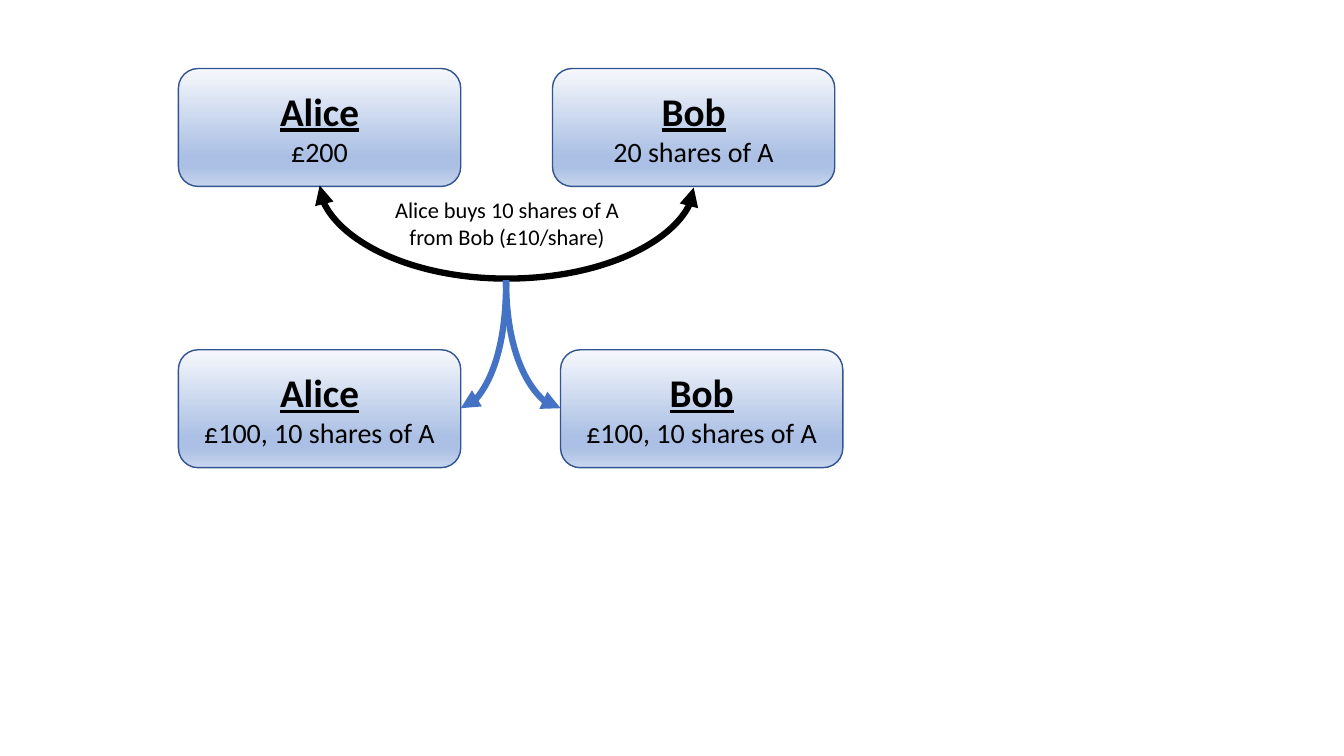
from copy import deepcopy

from lxml.etree import SubElement
from pptx import Presentation
from pptx.dml.color import RGBColor
from pptx.enum.shapes import MSO_CONNECTOR, MSO_SHAPE
from pptx.enum.text import MSO_ANCHOR, MSO_AUTO_SIZE, PP_ALIGN
from pptx.oxml.ns import qn
from pptx.util import Pt

# Content: name, holdings, left, top
HOLDERS = [
    ("Alice", "£200", 177, 68),
    ("Bob", "20 shares of A", 548, 68),
    ("Alice", "£100, 10 shares of A", 177, 347),
    ("Bob", "£100, 10 shares of A", 556, 347),
]
TRADE = "Alice buys 10 shares of A from Bob (£10/share)"
TRADE_BOX = (373, 190, 260, 64)

PX = 9144  # EMU per px, 100 px to the inch
BOX_WIDTH, BOX_HEIGHT = 280, 117
FONT = "Calibri"
BLACK = RGBColor(0x00, 0x00, 0x00)
BLUE = RGBColor(0x44, 0x72, 0xC4)
OUTLINE = RGBColor(0x32, 0x54, 0x91)
PALE, MID, LIGHT = (RGBColor.from_string(code) for code in ("F6F8FC", "ABC0E4", "C7D5ED"))
GRADIENT = [(0, PALE), (0.74, MID), (0.83, MID), (1, LIGHT)]

# Curved arrows: start, end, colour, preset, bend, line ends with a head
ARROWS = [
    ((317, 184), (688, 186), BLACK, "curvedConnector3", 46, ("headEnd", "tailEnd")),
    ((502, 278), (457, 405), BLUE, "curvedConnector2", None, ("tailEnd",)),
    ((502, 278), (556, 405), BLUE, "curvedConnector2", None, ("tailEnd",)),
]


def fill_gradient(shape):
    shape.fill.gradient()
    shape.fill.gradient_angle = 270
    stop_list = shape._element.spPr.find(qn("a:gradFill")).find(qn("a:gsLst"))
    while len(stop_list) < len(GRADIENT):
        stop_list.append(deepcopy(stop_list[0]))
    for stop, (position, color) in zip(shape.fill.gradient_stops, GRADIENT):
        stop.position = position
        stop.color.rgb = color


def add_holder(slide, name, holdings, left, top):
    shape = slide.shapes.add_shape(
        MSO_SHAPE.ROUNDED_RECTANGLE, left * PX, top * PX, BOX_WIDTH * PX, BOX_HEIGHT * PX)
    shape.shadow.inherit = False
    fill_gradient(shape)
    shape.line.color.rgb = OUTLINE
    shape.line.width = Pt(1)
    shape.text_frame.vertical_anchor = MSO_ANCHOR.MIDDLE
    paragraph = shape.text_frame.paragraphs[0]
    paragraph.alignment = PP_ALIGN.CENTER
    heading = paragraph.add_run()
    paragraph.add_line_break()
    detail = paragraph.add_run()
    for run, text, size in ((heading, name, 28), (detail, holdings, 20)):
        run.text = text
        run.font.name = FONT
        run.font.size = Pt(size)
        run.font.color.rgb = BLACK
    heading.font.bold = heading.font.underline = True


def add_arrow(slide, start, end, color, preset, bend, heads):
    # The curve leaves downwards, so its frame is turned a quarter about its centre
    (x1, y1), (x2, y2) = start, end
    width, height = y2 - y1, abs(x2 - x1)
    left = (x1 + x2 - width) * PX // 2
    top = (y1 + y2 - height) * PX // 2
    right, bottom = left + width * PX, top + height * PX
    rightward = x2 > x1
    begin_x, end_x = (right, left) if rightward else (left, right)
    connector = slide.shapes.add_connector(MSO_CONNECTOR.CURVE, begin_x, top, end_x, bottom)
    connector.line.color.rgb = color
    connector.line.width = Pt(4.5)

    properties = connector._element.spPr
    properties.find(qn("a:xfrm")).set("rot", str((270 if rightward else 90) * 60000))
    geometry = properties.find(qn("a:prstGeom"))
    geometry.set("prst", preset)
    if bend:
        guide = SubElement(geometry.find(qn("a:avLst")), qn("a:gd"))
        guide.set("name", "adj1")
        guide.set("fmla", f"val {bend * 100000}")
    for head in heads:
        SubElement(properties.find(qn("a:ln")), qn(f"a:{head}")).set("type", "triangle")
    SubElement(properties, qn("a:effectLst"))


def add_trade(slide):
    box = slide.shapes.add_textbox(*(length * PX for length in TRADE_BOX))
    frame = box.text_frame
    frame.word_wrap = True
    frame.auto_size = MSO_AUTO_SIZE.SHAPE_TO_FIT_TEXT
    paragraph = frame.paragraphs[0]
    paragraph.text = TRADE
    paragraph.alignment = PP_ALIGN.CENTER
    paragraph.font.name = FONT
    paragraph.font.size = Pt(16)
    paragraph.font.color.rgb = BLACK


def main():
    presentation = Presentation()
    presentation.slide_width, presentation.slide_height = 1333 * PX, 750 * PX
    slide = presentation.slides.add_slide(presentation.slide_layouts[6])

    # Holdings before and after the trade
    for holder in HOLDERS:
        add_holder(slide, *holder)

    # The trade and its outcome
    add_trade(slide)
    for arrow in ARROWS:
        add_arrow(slide, *arrow)

    presentation.save("out.pptx")


if __name__ == "__main__":
    main()
